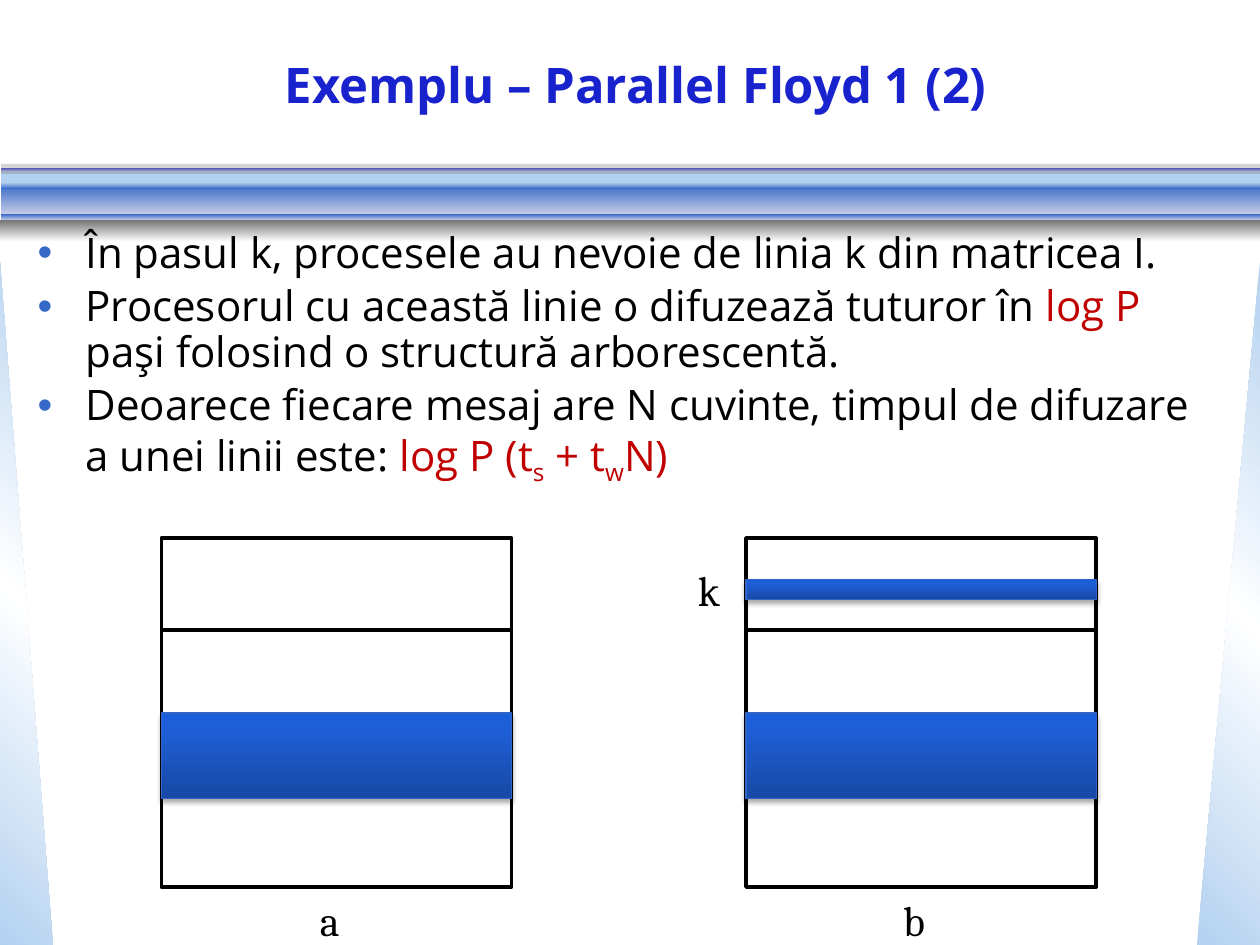
from lxml import etree
from pptx import Presentation
from pptx.dml.color import RGBColor
from pptx.enum import shapes, text
from pptx.oxml import ns
from pptx.util import Inches, Pt

RECT = shapes.MSO_SHAPE.RECTANGLE
TRIANGLE = shapes.MSO_SHAPE.RIGHT_TRIANGLE
BLACK, RED, TITLE_BLUE = "000000", "C00000", "1822CD"
SKY, BLUE, PALE, GREY = "B3D1F0", "3568C7", "CAD0E9", "777777"
BAND = [(0, "1749A5"), (80, "1E5ED6"), (100, "1B5EDB")]


def rgb(value):
    return RGBColor.from_string(value)


def sub(parent, tag, **attrs):
    el = etree.SubElement(parent, ns.qn(tag))
    for key, value in attrs.items():
        el.set(key, str(value))
    return el


class SlideBuilder:
    font, label_font, size = "Open Sans", "Cambria", 24

    def __init__(self, prs):
        self.s = prs.slides.add_slide(prs.slide_layouts[5])
        self.shapes = self.s.shapes

    def group(self):
        """Send the following shapes to a new group."""
        self.shapes = self.s.shapes.add_group_shape().shapes

    def ungroup(self):
        self.shapes = self.s.shapes

    def shape(self, box, kind=RECT, fill=None, line=None, width=2, alpha=None):
        sp = self.shapes.add_shape(kind, *map(Inches, box))
        sp.shadow.inherit = False
        if fill:
            sp.fill.solid()
            sp.fill.fore_color.rgb = rgb(fill)
            if alpha:
                color = sp.fill._xPr.find(".//" + ns.qn("a:srgbClr"))
                sub(color, "a:alpha", val=alpha * 1000)
        else:
            sp.fill.background()
        if line:
            sp.line.color.rgb = rgb(line)
            sp.line.width = Pt(width)
        else:
            sp.line.fill.background()
        return sp

    def gradient(self, box, stops, angle=90, **style):
        sp = self.shape(box, **style)
        pr = sp._element.spPr
        grad = etree.Element(ns.qn("a:gradFill"), rotWithShape="1")
        stop_list = sub(grad, "a:gsLst")
        for pos, color in stops:
            sub(sub(stop_list, "a:gs", pos=pos * 1000), "a:srgbClr", val=color)
        sub(grad, "a:lin", ang=angle * 60000, scaled=0)
        pr.replace(pr.find(ns.qn("a:noFill")), grad)
        return sp

    def band(self, box):
        sp = self.gradient(box, BAND, 270, line="3065C6", width=0.75)
        effects = sp._element.spPr.find(ns.qn("a:effectLst"))
        shadow = sub(effects, "a:outerShdw", blurRad=Pt(3.1), dist=Pt(1.8),
                     dir=90 * 60000, rotWithShape=0)
        sub(sub(shadow, "a:srgbClr", val=BLACK), "a:alpha", val=35000)

    def line(self, x1, y1, x2, y2):
        ln = self.shapes.add_connector(shapes.MSO_CONNECTOR.STRAIGHT,
                                       *map(Inches, (x1, y1, x2, y2)))
        ln.line.color.rgb = rgb(BLACK)
        ln.line.width = Pt(2)
        sub(ln._element.spPr, "a:effectLst")

    def style(self, r, color=BLACK, font=None, size=None, bold=False):
        r.font.name, r.font.size = font or self.font, Pt(size or self.size)
        r.font.color.rgb, r.font.bold = rgb(color), bold

    def title(self, box, wording):
        sp = self.s.shapes.title
        sp.left, sp.top, sp.width, sp.height = map(Inches, box)
        tf = sp.text_frame
        tf.text = wording
        tf.vertical_anchor = text.MSO_ANCHOR.MIDDLE
        tf.paragraphs[0].alignment = text.PP_ALIGN.CENTER
        self.style(tf.paragraphs[0].runs[0], TITLE_BLUE, size=28, bold=True)

    def label(self, box, wording):
        tf = self.shapes.add_textbox(*map(Inches, box)).text_frame
        tf.word_wrap = False
        tf.text = wording
        self.style(tf.paragraphs[0].runs[0], font=self.label_font)

    def bullets(self, box, items, top_inset):
        tf = self.shapes.add_textbox(*map(Inches, box)).text_frame
        tf.word_wrap = True
        tf.margin_top = Inches(top_inset)
        for i, item in enumerate(items):
            p = tf.paragraphs[0] if i == 0 else tf.add_paragraph()
            p.line_spacing = 0.9
            p.space_before = Pt(4.8 if i else 0)
            pr = p._p.get_or_add_pPr()
            pr.set("marL", str(Inches(0.38)))
            pr.set("indent", str(-Inches(0.38)))
            sub(sub(pr, "a:buClr"), "a:srgbClr", val=BLUE)
            sub(pr, "a:buFont", typeface="Arial")
            sub(pr, "a:buChar", char="•")
            for wording, color, base in item:
                r = p.add_run()
                r.text = wording
                self.style(r, color)
                if base:
                    r.font._element.set("baseline", str(base * 1000))


prs = Presentation()
prs.slide_width, prs.slide_height = Inches(10), Inches(7.5)
b = SlideBuilder(prs)

# Side wedges
wedge = [(0, SKY), (50, "FFFFFF"), (100, SKY)]
b.gradient((0, 2.08, 0.42, 5.42), wedge, 315, kind=TRIANGLE)
right = b.gradient((9.5, 2.08, 0.5, 5.42), wedge, 45, kind=TRIANGLE)
right._element.spPr.find(ns.qn("a:xfrm")).set("flipH", "1")

# Header bar
b.group()
b.shape((0.01, 1.36, 9.99, 0.1), fill=SKY)
for top, height, start, end in [(1.46, 0.25, BLUE, PALE),
                                (1.33, 0.03, TITLE_BLUE, "BABBE7"),
                                (1.7, 0.05, BLUE, PALE),
                                (1.45, 0.05, SKY, BLUE)]:
    b.gradient((0.01, top, 9.99, height), [(0, start), (100, end)])
b.gradient((0, 1.75, 10, 0.17), [(0, GREY), (100, "FFFFFF")])
b.shape((0.01, 1.3, 9.99, 0.08), fill=GREY, alpha=31)
b.ungroup()

# Title and bullets
b.title((0.17, 0.08, 9.75, 1.17), "Exemplu – Parallel Floyd 1 (2)")
b.bullets((0.2, 1.31, 9.58, 2.83), [
    [("În pasul k, procesele au nevoie de linia k din matricea I.", BLACK, 0)],
    [("Procesorul cu această linie o difuzează tuturor în ", BLACK, 0),
     ("log P ", RED, 0),
     ("paşi folosind o structură arborescentă.", BLACK, 0)],
    [("Deoarece fiecare mesaj are N cuvinte, timpul de difuzare a unei "
      "linii este: ", BLACK, 0),
     ("log P (t", RED, 0), ("s", RED, -25), (" + t", RED, 0),
     ("w", RED, -25), ("N)", RED, 0)],
], top_inset=0.53)

# Matrices: a with its row block, b also with row k
side = 2.78
for left, bands in [(1.28, [(5.66, 0.68)]),
                    (5.92, [(5.66, 0.68), (4.6, 0.16)])]:
    b.group()
    b.shape((left, 4.27, side, 2.77), line=BLACK)
    b.line(left, 5, left + side, 5)
    for top, height in bands:
        b.band((left, top, side, height))
b.ungroup()

# Labels
for left, top, width, wording in [(2.44, 7.05, 0.46, "a)"),
                                  (7.07, 7.05, 0.48, "b)"),
                                  (5.44, 4.43, 0.37, "k")]:
    b.label((left, top, width, 0.5), wording)

prs.save("out.pptx")
